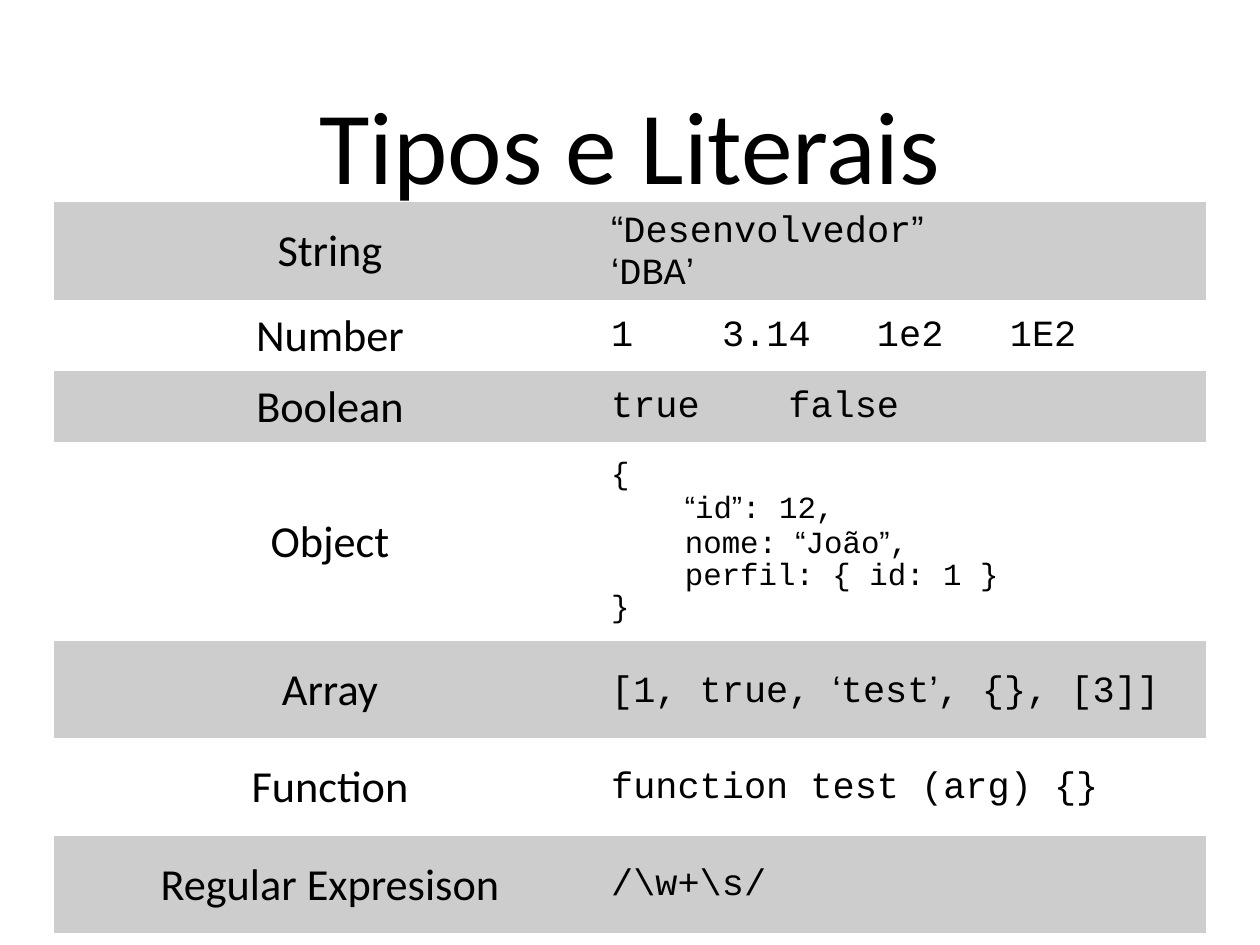
import dataclasses
import itertools

import lxml.etree
import pptx
import pptx.dml.color
import pptx.enum.text
import pptx.oxml.ns
import pptx.table
import pptx.text.text
import pptx.util

BLACK = pptx.dml.color.RGBColor(0x00, 0x00, 0x00)
BAND_GREY = pptx.dml.color.RGBColor(0xCD, 0xCD, 0xCD)

HEADING_FONT = "Calibri"
CODE_FONT = "Courier New"
QUOTE_FONT = "Arial"
QUOTES = "“”‘’"
PLAIN_TABLE_STYLE = "{2D5ABB26-0587-4C30-8999-92F81FD0307C}"

Cm = pptx.util.Cm
CENTER = pptx.enum.text.PP_ALIGN.CENTER
LEFT = pptx.enum.text.PP_ALIGN.LEFT
MIDDLE = pptx.enum.text.MSO_ANCHOR.MIDDLE


@dataclasses.dataclass(frozen=True)
class LiteralRow:
    type_name: str
    example: str
    height: float
    example_size: int = 30
    tab_stops: tuple[float, ...] = ()


LITERAL_ROWS = (
    LiteralRow("String", "“Desenvolvedor”\n‘DBA’", 2.82),
    LiteralRow("Number", "1\t3.14\t1e2\t1E2", 2.01, tab_stops=(3.18, 7.62, 11.43)),
    LiteralRow("Boolean", "true\tfalse", 2.06, tab_stops=(5.08,)),
    LiteralRow(
        "Object",
        "{\n    “id”: 12,\n    nome: “João”,\n    perfil: { id: 1 }\n}",
        5.69,
        example_size=25,
    ),
    LiteralRow("Array", "[1, true, ‘test’, {}, [3]]", 2.79),
    LiteralRow("Function", "function test (arg) {}", 2.79),
    LiteralRow("Regular Expresison", r"/\w+\s/", 2.79),
)
COLUMN_WIDTHS = (15.82, 17.2)


def add_tab_stops(
    paragraph: pptx.text.text._Paragraph, positions: tuple[float, ...]
) -> None:
    properties = paragraph._p.get_or_add_pPr()
    tab_list = lxml.etree.SubElement(properties, pptx.oxml.ns.qn("a:tabLst"))
    for position in positions:
        tab = lxml.etree.SubElement(tab_list, pptx.oxml.ns.qn("a:tab"))
        tab.set("pos", str(int(Cm(position))))
        tab.set("algn", "l")


def write_text(
    text_frame: pptx.text.text.TextFrame,
    text: str,
    *,
    size: float,
    font: str,
    quote_font: str | None = None,
    alignment: pptx.enum.text.PP_ALIGN = LEFT,
    line_spacing: float = 1.0,
    tab_stops: tuple[float, ...] = (),
) -> None:
    """Write one paragraph per line, with curly quotes in their own font."""
    for index, line in enumerate(text.split("\n")):
        paragraph = text_frame.add_paragraph() if index else text_frame.paragraphs[0]
        paragraph.alignment = alignment
        paragraph.line_spacing = line_spacing
        if tab_stops:
            add_tab_stops(paragraph, tab_stops)
        for is_quote, characters in itertools.groupby(line, lambda c: c in QUOTES):
            run = paragraph.add_run()
            run.text = "".join(characters)
            run.font.name = quote_font if is_quote and quote_font else font
            run.font.size = pptx.util.Pt(size)
            run.font.color.rgb = BLACK


def format_cell(cell: pptx.table._Cell, is_banded: bool) -> None:
    cell.vertical_anchor = MIDDLE
    cell.margin_left = cell.margin_right = Cm(0.15)
    cell.margin_top = cell.margin_bottom = Cm(0.13)
    if is_banded:
        cell.fill.solid()
        cell.fill.fore_color.rgb = BAND_GREY
    else:
        cell.fill.background()


def add_title(slide: pptx.slide.Slide) -> None:
    title = slide.shapes.add_textbox(Cm(3.53), Cm(0.71), Cm(29.06), Cm(6.78))
    frame = title.text_frame
    frame.word_wrap = True
    frame.vertical_anchor = MIDDLE
    frame.margin_left = frame.margin_right = Cm(0.15)
    frame.margin_top = frame.margin_bottom = Cm(0.15)
    write_text(frame, "Tipos e Literais", size=84, font=HEADING_FONT, alignment=CENTER)


def add_literals_table(slide: pptx.slide.Slide) -> None:
    table_frame = slide.shapes.add_table(
        len(LITERAL_ROWS),
        len(COLUMN_WIDTHS),
        Cm(1.55),
        Cm(5.79),
        Cm(sum(COLUMN_WIDTHS)),
        Cm(sum(row.height for row in LITERAL_ROWS)),
    )
    table = table_frame.table
    table.first_row = False
    table.horz_banding = False
    style = table._tbl.tblPr.find(pptx.oxml.ns.qn("a:tableStyleId"))
    style.text = PLAIN_TABLE_STYLE
    for column, width in zip(table.columns, COLUMN_WIDTHS):
        column.width = Cm(width)
    for index, (table_row, literal) in enumerate(zip(table.rows, LITERAL_ROWS)):
        table_row.height = Cm(literal.height)
        name_cell, example_cell = table_row.cells
        for cell in (name_cell, example_cell):
            format_cell(cell, is_banded=index % 2 == 0)
        write_text(
            name_cell.text_frame,
            literal.type_name,
            size=36,
            font=HEADING_FONT,
            alignment=CENTER,
            line_spacing=0.98,
        )
        write_text(
            example_cell.text_frame,
            literal.example,
            size=literal.example_size,
            font=CODE_FONT,
            quote_font=QUOTE_FONT,
            line_spacing=0.93,
            tab_stops=literal.tab_stops,
        )


def main() -> None:
    presentation = pptx.Presentation()
    presentation.slide_width = Cm(36.12)
    presentation.slide_height = Cm(27.08)
    slide = presentation.slides.add_slide(presentation.slide_layouts[6])
    add_title(slide)
    add_literals_table(slide)
    presentation.save("out.pptx")


if __name__ == "__main__":
    main()
